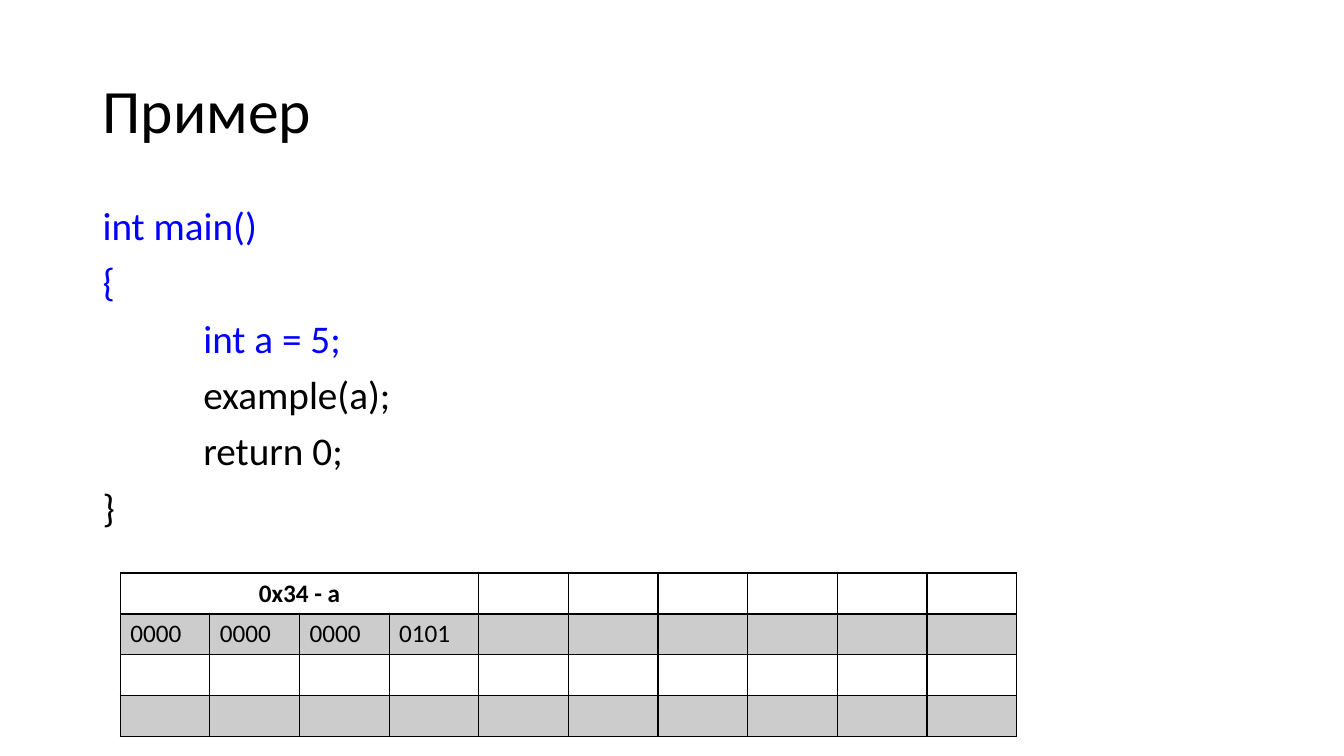
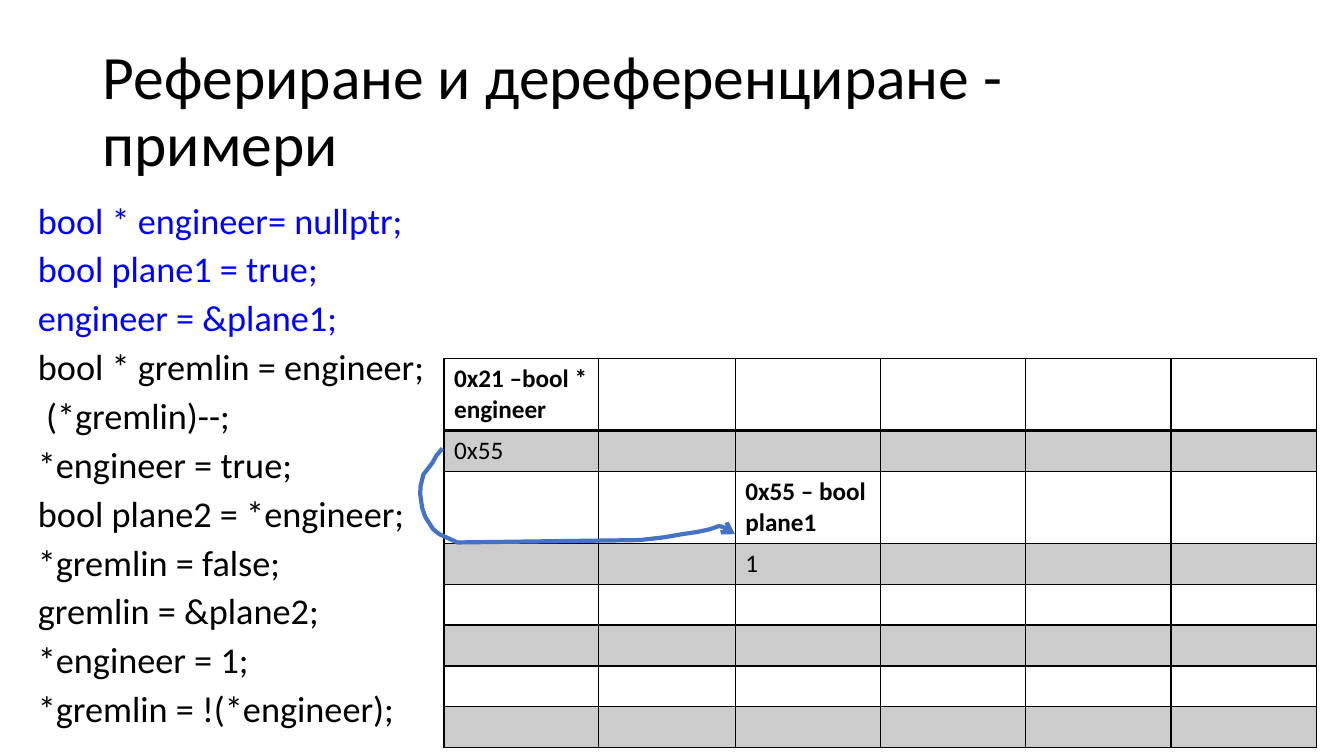
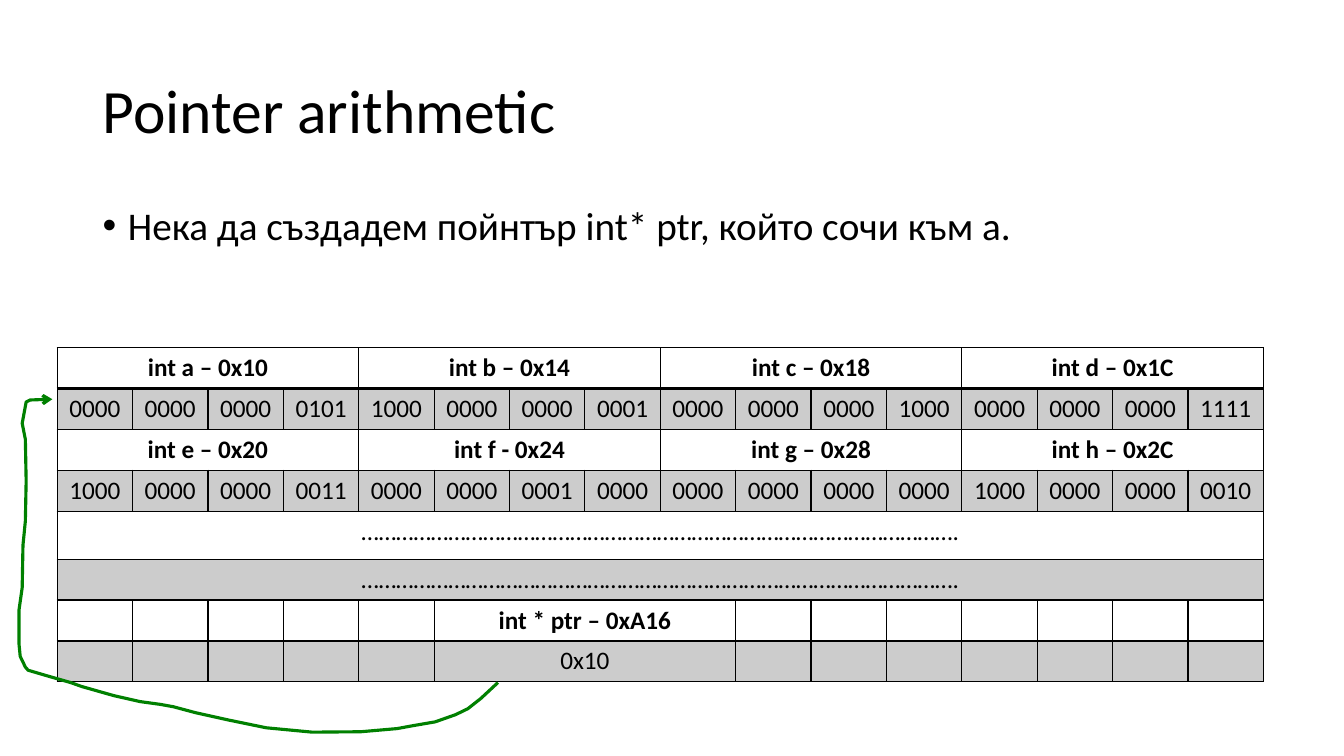
from lxml.etree import SubElement
from pptx import Presentation
from pptx.dml.color import RGBColor
from pptx.enum.text import MSO_ANCHOR, MSO_AUTO_SIZE, PP_ALIGN
from pptx.oxml.ns import qn
from pptx.util import Cm, Pt

FONT = "Calibri"
BLACK, BLUE, GREEN = "000000", "0000FF", "008000"
ARROW_BLUE, BAND_GREY = "4472C4", "CCCCCC"
TITLE_BOX = (2.33, 1.01, 29.21, 3.68)
BODY_BOX = (2.33, 5.08, 29.21, 12.09)
ROW = 1.03
DOTS = "…" * 34 + "."


def rgb(value):
    return RGBColor.from_string(value)


def place(shape, box):
    shape.left, shape.top, shape.width, shape.height = map(Cm, box)


def add_run(paragraph, text, size, color=BLACK, bold=False):
    run = paragraph.add_run()
    run.text = text
    font = run.font
    font.name, font.size, font.bold = FONT, Pt(size), bold
    font.color.rgb = rgb(color)


def add_titled_slide(deck, heading):
    slide = deck.slides.add_slide(deck.slide_layouts[1])
    title = slide.shapes.title
    place(title, TITLE_BOX)
    frame = title.text_frame
    frame.auto_size = MSO_AUTO_SIZE.NONE
    frame.vertical_anchor = MSO_ANCHOR.MIDDLE
    paragraph = frame.paragraphs[0]
    paragraph.alignment = PP_ALIGN.LEFT
    paragraph.line_spacing = 0.9
    add_run(paragraph, heading, 44)
    return slide


def set_bullet(paragraph, bullet):
    """Give the paragraph a bullet with hanging indent, or none, and 1-inch tabs."""
    properties = paragraph._p.get_or_add_pPr()
    hang = Cm(0.64) if bullet else 0
    properties.set("marL", str(hang))
    properties.set("indent", str(-hang))
    properties.set("defTabSz", str(Cm(2.54)))
    if bullet:
        SubElement(properties, qn("a:buChar")).set("char", bullet)
    else:
        SubElement(properties, qn("a:buNone"))


def fill_body(slide, lines, box=BODY_BOX, size=28, spacing=0.9, bullet=None):
    """Write (text, colour) lines into the body placeholder."""
    body = slide.placeholders[1]
    place(body, box)
    frame = body.text_frame
    frame.auto_size = MSO_AUTO_SIZE.NONE
    for number, (text, color) in enumerate(lines):
        paragraph = frame.add_paragraph() if number else frame.paragraphs[0]
        set_bullet(paragraph, bullet)
        paragraph.line_spacing = spacing
        paragraph.space_before = Pt(10 if number else 0)
        add_run(paragraph, text, size, color)


def code_lines(executed, pending):
    return [(line, BLUE) for line in executed] + [(line, BLACK) for line in pending]


def draw_borders(cell, row):
    """Thin black grid with a thicker rule under the first row."""
    properties = cell._tc.get_or_add_tcPr()
    for side in "LRTB":
        under_header = row == 0 and side == "B"
        line = SubElement(properties, qn(f"a:ln{side}"), w=str(Pt(2 if under_header else 1)))
        fill = SubElement(line, qn("a:solidFill"))
        SubElement(fill, qn("a:srgbClr"), val=BLACK)


def add_memory_table(slide, left, top, columns, rows, content, centered=False):
    """Draw label rows and grey value rows; content maps (row, column) to (text, span)."""
    grid = slide.shapes.add_table(len(rows), len(columns), Cm(left), Cm(top),
                                  Cm(sum(columns)), Cm(sum(rows))).table
    grid.first_row = grid.horz_banding = False
    for column, width in zip(grid.columns, columns):
        column.width = Cm(width)
    for row, height in zip(grid.rows, rows):
        row.height = Cm(height)
    for row in range(len(rows)):
        for column in range(len(columns)):
            cell = grid.cell(row, column)
            draw_borders(cell, row)
            if row % 2:
                cell.fill.solid()
                cell.fill.fore_color.rgb = rgb(BAND_GREY)
            else:
                cell.fill.background()
    for (row, column), (text, span) in content.items():
        cell = grid.cell(row, column)
        if span > 1:
            cell.merge(grid.cell(row, column + span - 1))
        frame = cell.text_frame
        for number, line in enumerate(text.split("\n")):
            paragraph = frame.add_paragraph() if number else frame.paragraphs[0]
            if centered or span > 1:
                paragraph.alignment = PP_ALIGN.CENTER
            add_run(paragraph, line, 18, bold=row % 2 == 0 and text != DOTS)


def add_pointer_arrow(slide, points, color, width):
    """Draw an open hand-drawn line that ends in an arrowhead."""
    start, *rest = [(Cm(x), Cm(y)) for x, y in points]
    builder = slide.shapes.build_freeform(*start)
    builder.add_line_segments(rest, close=False)
    arrow = builder.convert_to_shape()
    arrow.shadow.inherit = False
    arrow.fill.background()
    arrow.line.color.rgb = rgb(color)
    arrow.line.width = Pt(width)
    outline = arrow.line._get_or_add_ln()
    SubElement(outline, qn("a:round"))
    SubElement(outline, qn("a:tailEnd"), type="arrow")


def add_example_slide(deck):
    slide = add_titled_slide(deck, "Пример")
    fill_body(slide, code_lines(["int main()", "{", "\tint a = 5;"],
                                ["\texample(a);", "\treturn 0;", "}"]))
    content = {(0, 0): ("0x34 - a", 4)}
    for column, bits in enumerate("0000 0000 0000 0101".split()):
        content[1, column] = (bits, 1)
    add_memory_table(slide, 3.03, 14.44, [2.26] * 10, [ROW] * 4, content)


def add_dereference_slide(deck):
    slide = add_titled_slide(deck, "Рефериране и дереференциране - примери")
    executed = ["bool * engineer= nullptr;", "bool plane1 = true;", "engineer = &plane1;"]
    pending = ["bool * gremlin = engineer;", " (*gremlin)--;", "*engineer = true;",
               "bool plane2 = *engineer;", "*gremlin = false;", "gremlin = &plane2;",
               "*engineer = 1;", "*gremlin = !(*engineer);"]
    fill_body(slide, code_lines(executed, pending),
              box=(0.7, 5.07, 32.84, 13.88), size=25.9, spacing=0.8)
    content = {
        (0, 0): ("0x21 –bool * engineer", 1),
        (1, 0): ("0x55", 1),
        (2, 2): ("0x55 – bool\nplane1", 1),
        (3, 2): ("1", 1),
    }
    two_lines = 1.81
    add_memory_table(slide, 11.19, 9.04, [3.89, 3.45] + [3.66] * 4,
                     [two_lines, ROW, two_lines] + [ROW] * 5, content)
    add_pointer_arrow(slide, [
        (11.15, 11.3), (11, 11.48), (10.9, 11.66), (10.67, 11.96), (10.6, 12.25),
        (10.59, 12.45), (10.64, 12.8), (10.72, 13.03), (10.92, 13.34), (11.07, 13.46),
        (11.53, 13.67), (16.13, 13.61), (16.74, 13.54), (17.2, 13.46), (17.55, 13.41),
        (17.88, 13.34), (18.11, 13.26), (18.26, 13.28), (18.52, 13.46),
    ], ARROW_BLUE, 3)


def add_arithmetic_slide(deck):
    slide = add_titled_slide(deck, "Pointer arithmetic")
    fill_body(slide, [("Нека да създадем пойнтър int* ptr, който сочи към a.", BLACK)],
              bullet="•")
    labels = {
        0: ["int a – 0x10", "int b – 0x14", "int c – 0x18", "int d – 0x1C"],
        2: ["int e – 0x20", "int f - 0x24", "int g – 0x28", "int h – 0x2C"],
    }
    values = {
        1: "0000 0000 0000 0101 1000 0000 0000 0001 "
           "0000 0000 0000 1000 0000 0000 0000 1111",
        3: "1000 0000 0000 0011 0000 0000 0001 0000 "
           "0000 0000 0000 0000 1000 0000 0000 0010",
    }
    content = {
        (4, 0): (DOTS, 16),
        (5, 0): (DOTS, 16),
        (6, 5): ("int * ptr – 0xA16", 4),
        (7, 5): ("0x10", 4),
    }
    for row, names in labels.items():
        for number, name in enumerate(names):
            content[row, number * 4] = (name, 4)
    for row, octets in values.items():
        for column, bits in enumerate(octets.split()):
            content[row, column] = (bits, 1)
    add_memory_table(slide, 1.44, 8.76, [1.9] * 16,
                     [ROW] * 4 + [1.21] + [ROW] * 3, content, centered=True)
    add_pointer_arrow(slide, [
        (12.55, 17.2), (12.12, 17.6), (11.79, 17.86), (11.48, 18.01), (10.97, 18.19),
        (10.39, 18.29), (10.01, 18.36), (9.09, 18.44), (7.87, 18.45), (6.71, 18.34),
        (5.74, 18.14), (4.93, 17.96), (4.37, 17.81), (4.04, 17.75), (3.53, 17.68),
        (2.87, 17.53), (2.06, 17.3), (1.78, 17.2), (1.22, 17.04), (0.71, 16.89),
        (0.64, 16.81), (0.51, 16.54), (0.48, 16.23), (0.48, 15.37), (0.56, 14.81),
        (0.58, 13.74), (0.64, 13.13), (0.66, 12.12), (0.64, 11.07), (0.56, 10.67),
        (0.66, 10.13), (0.76, 10.08), (1.32, 10.06),
    ], GREEN, 2.25)


def main():
    deck = Presentation()
    deck.slide_width, deck.slide_height = Cm(33.87), Cm(19.05)
    add_example_slide(deck)
    add_dereference_slide(deck)
    add_arithmetic_slide(deck)
    deck.save("out.pptx")


if __name__ == "__main__":
    main()
